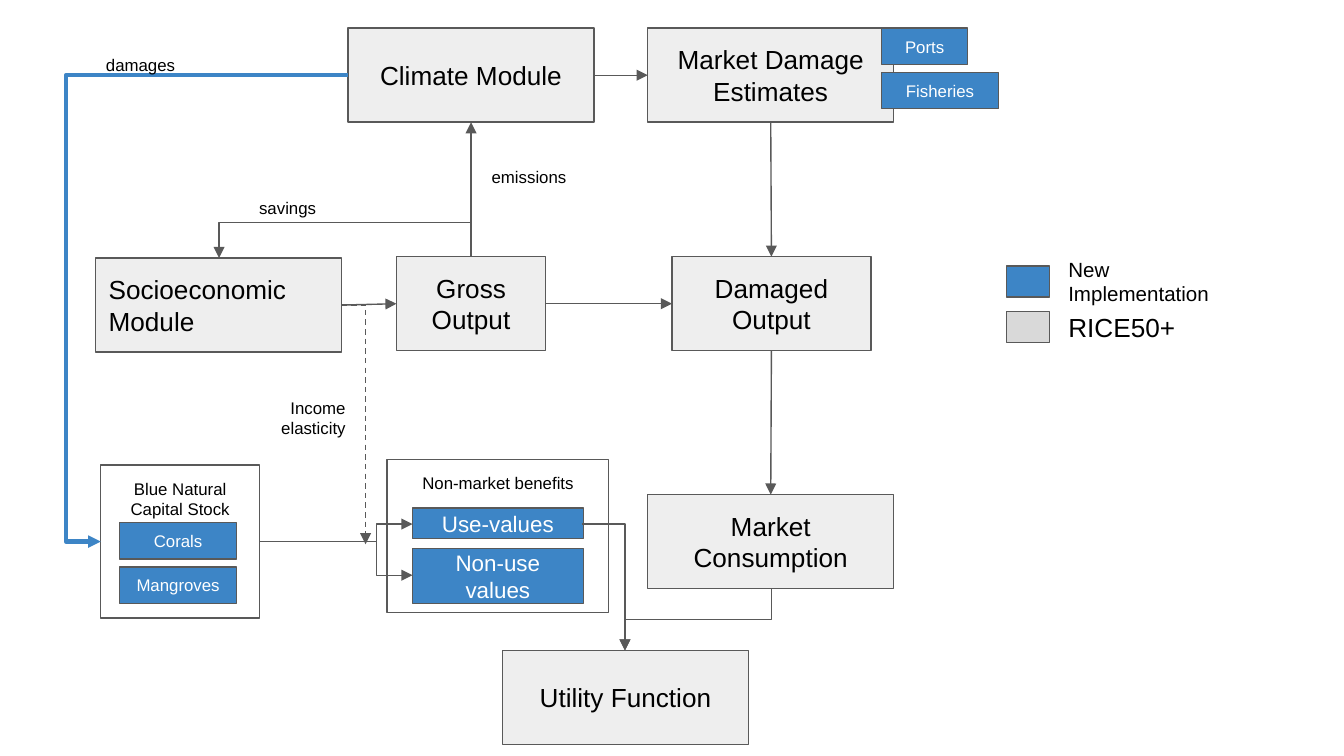
from lxml.etree import SubElement
from pptx import Presentation
from pptx.dml.color import RGBColor
from pptx.enum.dml import MSO_LINE
from pptx.enum.shapes import MSO_CONNECTOR, MSO_SHAPE
from pptx.enum.text import MSO_ANCHOR, MSO_AUTO_SIZE, PP_ALIGN
from pptx.oxml.ns import qn
from pptx.util import Inches, Pt

BLACK = RGBColor(0x00, 0x00, 0x00)
WHITE = RGBColor(0xFF, 0xFF, 0xFF)
GREY = RGBColor(0x59, 0x59, 0x59)
PALE = RGBColor(0xEE, 0xEE, 0xEE)
SILVER = RGBColor(0xD9, 0xD9, 0xD9)
BLUE = RGBColor(0x3D, 0x85, 0xC6)

LEFT, CENTER, RIGHT = PP_ALIGN.LEFT, PP_ALIGN.CENTER, PP_ALIGN.RIGHT
TOP, BOTTOM = 0, 2
LEFT_SIDE, RIGHT_SIDE = 1, 3
MODULE_WIDTH, MODULE_HEIGHT = 1.83, 0.7

# text, left, top, width, height
PANELS = [
    ("Non-market benefits", 2.88, 3.42, 1.65, 1.14),
    ("Blue Natural Capital Stock", 0.75, 3.46, 1.18, 1.14),
]
# text, left, top, width, alignment
MODULES = [
    ("Climate Module", 2.59, 0.21, MODULE_WIDTH, CENTER),
    ("Market Damage Estimates", 4.82, 0.21, MODULE_WIDTH, CENTER),
    ("Socioeconomic Module", 0.71, 1.92, MODULE_WIDTH, LEFT),
    ("Gross Output", 2.95, 1.91, 1.11, CENTER),
    ("Damaged Output", 5, 1.91, 1.48, CENTER),
    ("Market Consumption", 4.82, 3.68, MODULE_WIDTH, CENTER),
    ("Utility Function", 3.74, 4.84, MODULE_WIDTH, CENTER),
]
# text, left, top, width, height, size
NEW_PARTS = [
    ("Ports", 6.56, 0.21, 0.64, 0.27, 9),
    ("Fisheries", 6.56, 0.54, 0.87, 0.27, 9),
    ("Corals", 0.89, 3.89, 0.87, 0.27, 9),
    ("Mangroves", 0.89, 4.22, 0.87, 0.27, 9),
    ("Use-values", 3.07, 3.78, 1.27, 0.23, 12),
    ("Non-use values", 3.07, 4.08, 1.27, 0.41, 12),
]
# text, left, top, alignment
FLOW_LABELS = [
    ("savings", 1.83, 1.37, LEFT),
    ("emissions", 3.56, 1.14, LEFT),
    ("Income elasticity", 1.83, 2.86, RIGHT),
    ("damages", 0.69, 0.31, LEFT),
]
# text, text top, size, swatch top, swatch colour
LEGEND = [
    ("New Implementation", 1.81, 11, 1.98, BLUE),
    ("RICE50+", 2.22, 14, 2.32, SILVER),
]
# from box, side, to box, side
STRAIGHT_ARROWS = [
    ("Climate Module", RIGHT_SIDE, "Market Damage Estimates", LEFT_SIDE),
    ("Socioeconomic Module", RIGHT_SIDE, "Gross Output", LEFT_SIDE),
    ("Gross Output", RIGHT_SIDE, "Damaged Output", LEFT_SIDE),
    ("Gross Output", TOP, "Climate Module", BOTTOM),
    ("Market Damage Estimates", BOTTOM, "Damaged Output", TOP),
    ("Damaged Output", BOTTOM, "Market Consumption", TOP),
]
# start, end, x of the upright middle part, line format
SIDEWAYS_ARROWS = [
    ((2.59, 0.56), (0.75, 4.03), 0.49, {"color": BLUE, "width": 2.25}),
    ((1.93, 4.03), (3.07, 3.9), 2.8, {}),
    ((1.93, 4.03), (3.07, 4.28), 2.8, {}),
]
# start, end, y of the level middle part; each runs down and to the left
DOWNWARD_ARROWS = [
    ((3.5, 1.91), (1.63, 1.92), 1.65),
    ((5.74, 4.38), (4.65, 4.84), 4.61),
]
# start, end, line format
CORNER_ARROWS = [
    ((2.54, 2.27), (2.72, 4.05), {"dash": MSO_LINE.DASH}),
    ((4.33, 3.9), (4.65, 4.84), {}),
]


def write(shape, text, size, align=CENTER, color=BLACK, anchor=MSO_ANCHOR.TOP):
    frame = shape.text_frame
    settings = {"word_wrap": True, "auto_size": MSO_AUTO_SIZE.NONE,
                "vertical_anchor": anchor}
    for side in ("left", "right", "top", "bottom"):
        settings[f"margin_{side}"] = Inches(0.1)
    for name, value in settings.items():
        setattr(frame, name, value)
    para = frame.paragraphs[0]
    para.alignment = align
    span = para.add_run()
    span.text = text
    for name, value in {"name": "Arial", "size": Pt(size)}.items():
        setattr(span.font, name, value)
    span.font.color.rgb = color


def add_box(page, left, top, width, height, fill=None):
    box = page.shapes.add_shape(
        MSO_SHAPE.RECTANGLE, *map(Inches, (left, top, width, height)))
    box.shadow.inherit = False
    if fill is None:
        box.fill.background()
    else:
        box.fill.solid()
        box.fill.fore_color.rgb = fill
    box.line.color.rgb = GREY
    box.line.width = Pt(0.75)
    return box


def add_label(page, text, left, top, width, height, size, align=LEFT):
    label = page.shapes.add_textbox(*map(Inches, (left, top, width, height)))
    write(label, text, size, align)


def add_arrow(page, kind, start=(0, 0), end=(0, 0),
              color=GREY, width=0.75, dash=None):
    arrow = page.shapes.add_connector(kind, *map(Inches, (*start, *end)))
    arrow.line.color.rgb = color
    arrow.line.width = Pt(width)
    if dash is not None:
        arrow.line.dash_style = dash
    SubElement(arrow.line._get_or_add_ln(), qn("a:tailEnd"), type="triangle")
    SubElement(arrow._element.spPr, qn("a:effectLst"))
    return arrow


def set_bend(arrow, share):
    """Put the middle part at a share of the way from start to end."""
    guides = arrow._element.spPr.prstGeom.get_or_add_avLst()
    SubElement(guides, qn("a:gd"), name="adj1", fmla=f"val {round(share * 100000)}")


def add_downward_arrow(page, start, end, level):
    """An elbow turned a quarter clockwise, so that it leaves downwards."""
    (x1, y1), (x2, y2) = start, end
    middle_x, middle_y = (x1 + x2) / 2, (y1 + y2) / 2
    half_width, half_height = (y2 - y1) / 2, (x1 - x2) / 2
    arrow = add_arrow(page, MSO_CONNECTOR.ELBOW,
                      (middle_x - half_width, middle_y - half_height),
                      (middle_x + half_width, middle_y + half_height))
    arrow._element.spPr.xfrm.set("rot", str(90 * 60000))
    set_bend(arrow, (level - y1) / (y2 - y1))


def main():
    deck = Presentation()
    deck.slide_width = Inches(10)
    deck.slide_height = deck.slide_width * 9 // 16
    page = deck.slides.add_slide(deck.slide_layouts[6])

    for text, *place in PANELS:
        write(add_box(page, *place), text, 9)
    modules = {}
    for text, left, top, width, align in MODULES:
        box = add_box(page, left, top, width, MODULE_HEIGHT, PALE)
        write(box, text, 14, align, anchor=MSO_ANCHOR.MIDDLE)
        modules[text] = box
    for text, *place, size in NEW_PARTS:
        box = add_box(page, *place, BLUE)
        write(box, text, size, color=WHITE, anchor=MSO_ANCHOR.MIDDLE)

    for source, source_side, target, target_side in STRAIGHT_ARROWS:
        arrow = add_arrow(page, MSO_CONNECTOR.STRAIGHT)
        arrow.begin_connect(modules[source], source_side)
        arrow.end_connect(modules[target], target_side)
    for start, end, middle, style in SIDEWAYS_ARROWS:
        arrow = add_arrow(page, MSO_CONNECTOR.ELBOW, start, end, **style)
        set_bend(arrow, (middle - start[0]) / (end[0] - start[0]))
    for start, end, level in DOWNWARD_ARROWS:
        add_downward_arrow(page, start, end, level)
    for start, end, style in CORNER_ARROWS:
        arrow = add_arrow(page, MSO_CONNECTOR.ELBOW, start, end, **style)
        arrow._element.spPr.prstGeom.set("prst", "bentConnector2")

    for text, left, top, align in FLOW_LABELS:
        add_label(page, text, left, top, 0.84, 0.23, 9, align)
    for text, top, size, swatch_top, color in LEGEND:
        add_box(page, 7.49, swatch_top, 0.32, 0.23, color)
        add_label(page, text, 7.85, top, 1.48, 0.41, size)

    deck.save("out.pptx")


if __name__ == "__main__":
    main()
